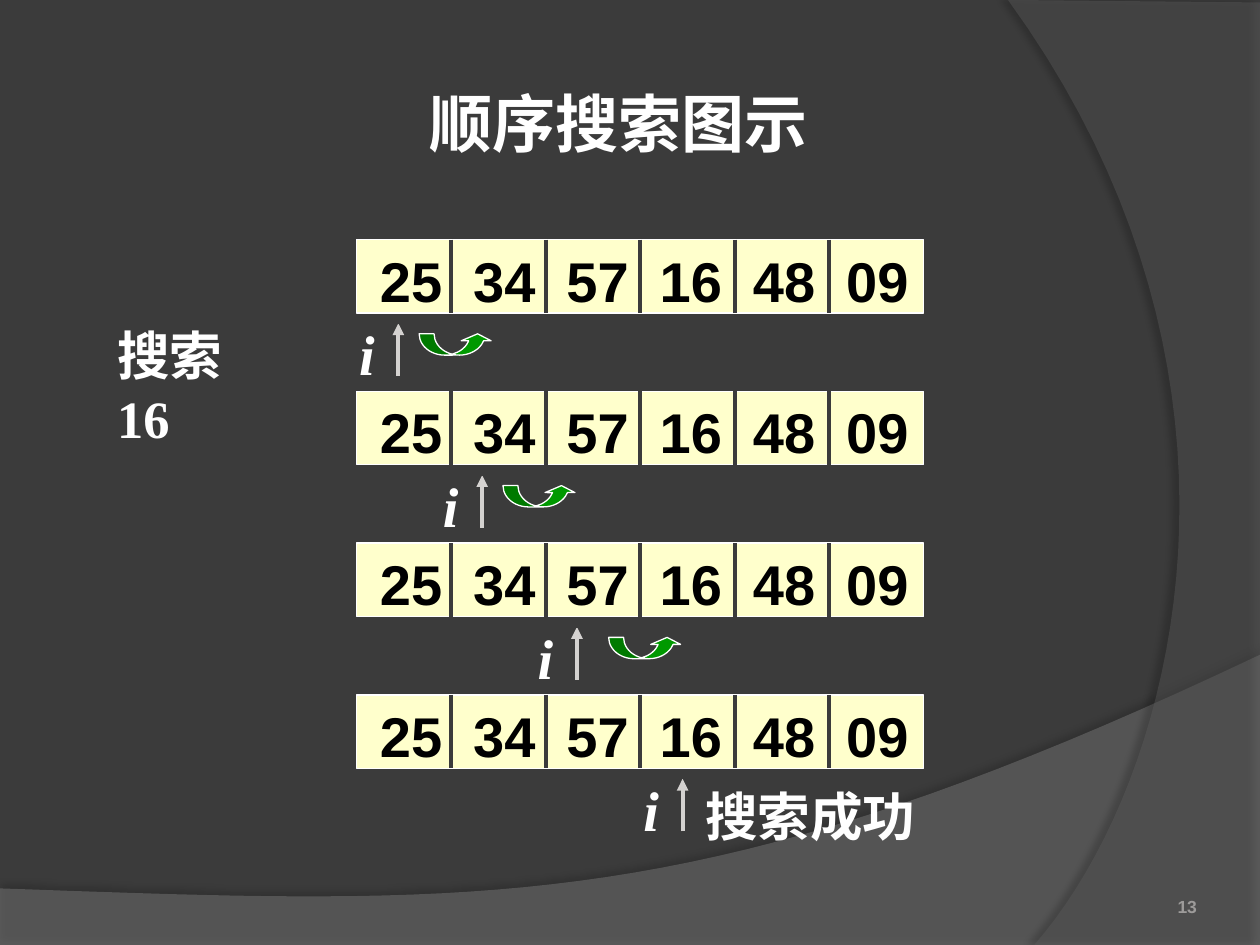
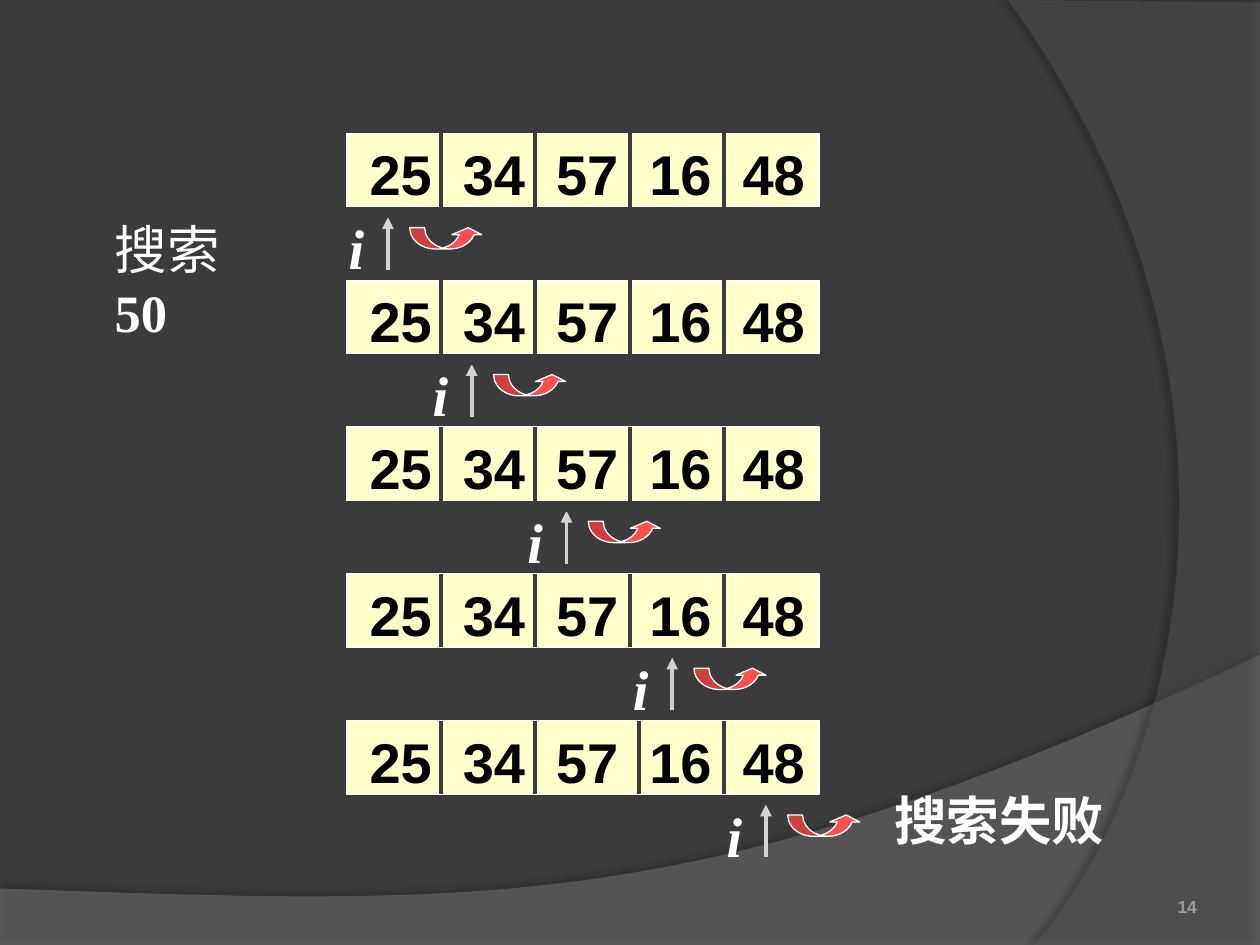
import pptx
import pptx.dml.color
import pptx.enum.shapes
import pptx.enum.text
import pptx.oxml
import pptx.oxml.ns
import pptx.util

Cm, Pt = pptx.util.Cm, pptx.util.Pt
qn = pptx.oxml.ns.qn
SHAPE = pptx.enum.shapes.MSO_SHAPE
ALIGN = pptx.enum.text.PP_ALIGN
ANCHOR = pptx.enum.text.MSO_ANCHOR

BACKGROUND, WHITE, BLACK = "3B3B3B", "FFFFFF", "000000"
CELL, POINTER, NUMBER = "FFFFCC", "D4D2D0", "9D9B9A"
SANS, TITLE_FONT, SERIF = "Arial", "Open Sans", "Times New Roman"

# Content; all lengths are centimetres
SLIDES = [
    dict(title="顺序搜索图示", number="13", keys=["25", "34", "57", "16", "48", "09"],
         origin=(7.19, 4.83), width=11.43, pitch=3.06, steps=4,
         jumps=[0.42, 0.42, 0.64], jump_color="009900", moved_dividers={},
         target=[("搜索 ", True), ("16", True)], target_at=(2.11, 6.38),
         result="搜索成功", result_at=(13.97, 15.67)),
    dict(title=None, number="14", keys=["25", "34", "57", "16", "48"],
         origin=(6.98, 2.69), width=9.53, pitch=2.96, steps=5,
         jumps=[0.44] * 5, jump_color="FF5050", moved_dividers={(4, 3): 0.18},
         target=[("搜索 ", False), ("50", True)], target_at=(2.06, 4.24),
         result="搜索失败", result_at=(17.78, 15.75)),
]
POINTER_OFFSETS = [0.84, 2.53, 4.44, 6.57, 8.46]
ROW_HEIGHT = 1.48
KEY_PITCH = 1.88

# Each band: straight corners, then the Bezier curve that closes it
BANDS = [
    dict(corners=[(0, 17.91), (0, 19.05), (25.4, 19.05)],
         curve=[(25.4, 13.2), (14.2, 18.52), (9.93, 18.26), (0, 17.91)],
         color="7F7F7F", alpha=45, shadow=dict(alpha=35, blur=4, distance=3.5, angle=270)),
    dict(corners=[(25.4, 0.05), (25.4, 19.05)],
         curve=[(20.85, 19.05), (23.75, 15.72), (25.86, 7.62), (20.32, 0)],
         color="5E5E5E", alpha=40, shadow=dict(alpha=45, blur=4, distance=4, angle=180)),
]


def rgb(code):
    """Turn a hex string into a colour."""
    return pptx.dml.color.RGBColor.from_string(code)


def box(*lengths):
    """Turn centimetres into a list of lengths."""
    return [Cm(length) for length in lengths]


def add_child(parent, tag, **attributes):
    """Append a DrawingML element and return it."""
    child = parent.makeelement(qn(tag), {k: str(v) for k, v in attributes.items()})
    parent.append(child)
    return child


def paint(shape, fill, line=None):
    """Give a shape a plain fill and an optional thin outline, without shadow."""
    shape.shadow.inherit = False
    shape.fill.solid()
    shape.fill.fore_color.rgb = rgb(fill)
    if line:
        shape.line.color.rgb = rgb(line)
        shape.line.width = Pt(0.75)
    else:
        shape.line.fill.background()


def cast_shadow(shape, color, alpha, blur, distance, angle):
    """Add an outer shadow to a painted shape."""
    effects = shape.element.spPr.find(qn("a:effectLst"))
    shadow = add_child(effects, "a:outerShdw", blurRad=Pt(blur), dist=Pt(distance),
                       dir=angle * 60000, algn="tl", rotWithShape=0)
    shade = add_child(shadow, "a:srgbClr", val=color)
    add_child(shade, "a:alpha", val=alpha * 1000)


def write(frame, runs, font=SERIF, size=30, color=WHITE, bold=True, italic=False,
          align=ALIGN.LEFT, anchor=ANCHOR.TOP, inset=(0.25, 0.13), tab=None, tabs=0):
    """Fill a text frame with a string or with (text, bold) pairs."""
    frame.word_wrap = True
    frame.auto_size = pptx.enum.text.MSO_AUTO_SIZE.NONE
    frame.vertical_anchor = anchor
    frame.margin_left = frame.margin_right = Cm(inset[0])
    frame.margin_top = frame.margin_bottom = Cm(inset[1])
    paragraph = frame.paragraphs[0]
    paragraph.alignment = align
    if tab:
        stops = add_child(paragraph._p.get_or_add_pPr(), "a:tabLst")
        for index in range(1, tabs + 1):
            add_child(stops, "a:tab", pos=Cm(tab * index), algn="l")
    for words, heavy in [(runs, bold)] if isinstance(runs, str) else runs:
        run = paragraph.add_run()
        run.text = words
        run.font.name, run.font.size = font, Pt(size)
        run.font.bold, run.font.italic = heavy, italic
        run.font.color.rgb = rgb(color)
        add_child(run.font._element, "a:ea", typeface=TITLE_FONT)


def add_text(slide, runs, place, **style):
    """Add a text box at left, top, width, height."""
    write(slide.shapes.add_textbox(*box(*place)).text_frame, runs, **style)


def add_line(slide, start, end, color, arrow=False):
    """Draw a straight line, with an arrowhead at its end if asked."""
    line = slide.shapes.add_connector(pptx.enum.shapes.MSO_CONNECTOR.STRAIGHT,
                                      *box(*start, *end))
    line.line.color.rgb = rgb(color)
    line.line.width = Pt(2.25)
    if arrow:
        add_child(line.element.spPr.find(qn("a:ln")), "a:tailEnd", type="triangle")
    add_child(line.element.spPr, "a:effectLst")


def bezier(points, count=40):
    """Return points along a cubic Bezier curve."""
    result = []
    for index in range(count + 1):
        t = index / count
        weights = ((1 - t) ** 3, 3 * t * (1 - t) ** 2, 3 * t * t * (1 - t), t ** 3)
        result.append(tuple(sum(w * p[axis] for w, p in zip(weights, points))
                            for axis in (0, 1)))
    return result


def build_master(master, slide):
    """Set the background and draw the bands, then hand them to the master."""
    master.background.fill.solid()
    master.background.fill.fore_color.rgb = rgb(BACKGROUND)
    for position, band in enumerate(BANDS):
        outline = [box(*point) for point in band["corners"] + bezier(band["curve"])]
        builder = slide.shapes.build_freeform(*outline[0])
        builder.add_line_segments(outline[1:], close=True)
        shape = builder.convert_to_shape()
        paint(shape, band["color"])
        tint = shape.element.spPr.find(qn("a:solidFill"))[0]
        add_child(tint, "a:alpha", val=band["alpha"] * 1000)
        cast_shadow(shape, BLACK, **band["shadow"])
        master.shapes.element.insert(2 + position, shape.element)


def draw_step(slide, content, step):
    """Draw one row of keys with its pointer and jump arrow."""
    left, top = content["origin"]
    top += step * content["pitch"]
    keys, width = content["keys"], content["width"]
    pointer = left + POINTER_OFFSETS[step]
    add_line(slide, (pointer, top + 2.75), (pointer, top + 1.69), POINTER, arrow=True)

    row = slide.shapes.add_shape(SHAPE.RECTANGLE, *box(left, top, width, ROW_HEIGHT))
    paint(row, CELL, WHITE)
    cast_shadow(row, BACKGROUND, alpha=100, blur=0, distance=8.5, angle=45)
    add_text(slide, "\t".join(keys), (left + 0.22, top, width, 1.6), font=SANS, size=32,
             color=BLACK, tab=KEY_PITCH, tabs=len(keys) - 1)
    for index in range(1, len(keys)):
        x = left + index * width / len(keys) + content["moved_dividers"].get((step, index), 0)
        add_line(slide, (x, top), (x, top + ROW_HEIGHT), BACKGROUND)

    add_text(slide, "i", (pointer - 1.04, top + 1.49, 0.82, 1.6), size=32, italic=True)
    if step < len(content["jumps"]):
        jump = slide.shapes.add_shape(SHAPE.CURVED_UP_ARROW, *box(
            pointer + content["jumps"][step], top + 1.9, 1.48, 0.43))
        for index, value in enumerate((0.7, 1.4, 0.33)):
            jump.adjustments[index] = value
        paint(jump, content["jump_color"], WHITE)


def build_slide(deck, content):
    """Add one search slide."""
    slide = deck.slides.add_slide(deck.slide_layouts[5 if content["title"] else 6])
    if content["title"]:
        title = slide.shapes.title
        title.left, title.top, title.width, title.height = box(6.53, 1.42, 11.86, 2.11)
        write(title.text_frame, content["title"], font=TITLE_FONT, size=36,
              align=ALIGN.CENTER, anchor=ANCHOR.MIDDLE, inset=(0.13, 0.13))
    add_text(slide, content["number"], (18.21, 17.22, 5.92, 1.27), font=SANS, size=10,
             color=NUMBER, align=ALIGN.RIGHT, anchor=ANCHOR.BOTTOM, inset=(0, 0))
    for step in range(content["steps"]):
        draw_step(slide, content, step)
    add_text(slide, content["target"], (*content["target_at"], 3, 2.9))
    add_text(slide, content["result"], (*content["result_at"], 4.9, 1.52))
    return slide


deck = pptx.Presentation()
deck.slide_width, deck.slide_height = box(25.4, 19.05)
slides = [build_slide(deck, content) for content in SLIDES]
build_master(deck.slide_master, slides[0])
deck.save("out.pptx")
